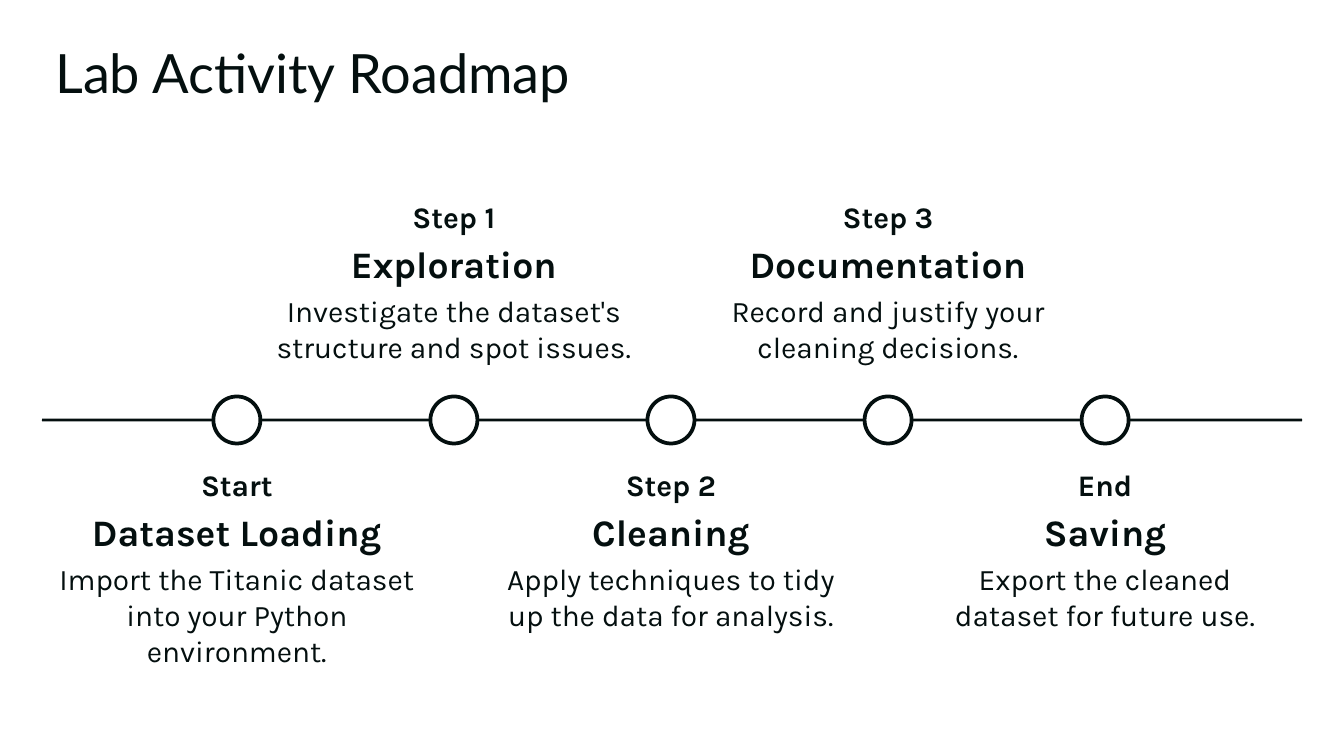
from pptx import Presentation
from pptx.dml.color import RGBColor
from pptx.enum.shapes import MSO_SHAPE
from pptx.enum.text import MSO_ANCHOR, PP_ALIGN
from pptx.util import Inches, Pt

BAR, CIRCLE = MSO_SHAPE.ROUNDED_RECTANGLE, MSO_SHAPE.OVAL
TOP, BOTTOM = MSO_ANCHOR.TOP, MSO_ANCHOR.BOTTOM
LEFT, CENTER = PP_ALIGN.LEFT, PP_ALIGN.CENTER
INK = RGBColor(0x04, 0x0F, 0x0F)
WHITE = RGBColor(0xFF, 0xFF, 0xFF)

TITLE = "Lab Activity Roadmap"
STEPS = [
    ("Start", "Dataset Loading", "Import the Titanic dataset into your Python environment."),
    ("Step 1", "Exploration", "Investigate the dataset's structure and spot issues."),
    ("Step 2", "Cleaning", "Apply techniques to tidy up the data for analysis."),
    ("Step 3", "Documentation", "Record and justify your cleaning decisions."),
    ("End", "Saving", "Export the cleaned dataset for future use."),
]
STEP_STYLES = [(16, True), (20, True), (16, False)]

SLIDE_W = 10
SLIDE_H = SLIDE_W * 9 / 16
MARGIN = SLIDE_W / 32
CONTENT_W = SLIDE_W - 2 * MARGIN
AXIS_Y, AXIS_H = SLIDE_H * 5 / 9, 0.02
MARKER = 0.35
STEP_W = 2.9
STEP_GAP = 1.615
ABOVE = (0.93, 1.88, BOTTOM)
BELOW = (3.375, 1.39, TOP)


def add_solid(slide, preset, left, top, width, height, fill):
    solid = slide.shapes.add_shape(
        preset, Inches(left), Inches(top), Inches(width), Inches(height))
    solid.shadow.inherit = False
    solid.fill.solid()
    solid.fill.fore_color.rgb = fill
    return solid


def add_text(slide, left, top, width, height, anchor, align, font_name, space, lines):
    box = slide.shapes.add_textbox(
        Inches(left), Inches(top), Inches(width), Inches(height))
    frame = box.text_frame
    frame.word_wrap = True
    frame.vertical_anchor = anchor
    frame.margin_left = frame.margin_right = Inches(0.1)
    frame.margin_top = frame.margin_bottom = Inches(0.1)
    for index, (text, size, bold) in enumerate(lines):
        paragraph = frame.add_paragraph() if index else frame.paragraphs[0]
        paragraph.alignment = align
        paragraph.space_before = Pt(space if index else 0)
        run = paragraph.add_run()
        run.text = text
        run.font.name = font_name
        run.font.size = Pt(size)
        run.font.bold = bold
        run.font.color.rgb = INK
    paragraph.space_after = Pt(space)


def main():
    deck = Presentation()
    deck.slide_width, deck.slide_height = Inches(SLIDE_W), Inches(SLIDE_H)
    slide = deck.slides.add_slide(deck.slide_layouts[6])

    axis = add_solid(slide, BAR, MARGIN, AXIS_Y - AXIS_H / 2, CONTENT_W, AXIS_H, INK)
    axis.line.fill.background()

    add_text(slide, MARGIN, 0.19, CONTENT_W, 1.39, TOP, LEFT, "Lato", 4.5,
             [(TITLE, 29, False)])

    for index, step in enumerate(STEPS):
        left = MARGIN + index * STEP_GAP
        marker = add_solid(slide, CIRCLE, left + (STEP_W - MARKER) / 2,
                           AXIS_Y - MARKER / 2, MARKER, MARKER, WHITE)
        marker.line.color.rgb = INK
        marker.line.width = Pt(2)

        top, height, anchor = ABOVE if index % 2 else BELOW
        lines = [(text, *style) for text, style in zip(step, STEP_STYLES)]
        add_text(slide, left, top, STEP_W, height, anchor, CENTER, "Karla", 3.6, lines)

    deck.save("out.pptx")


if __name__ == "__main__":
    main()
